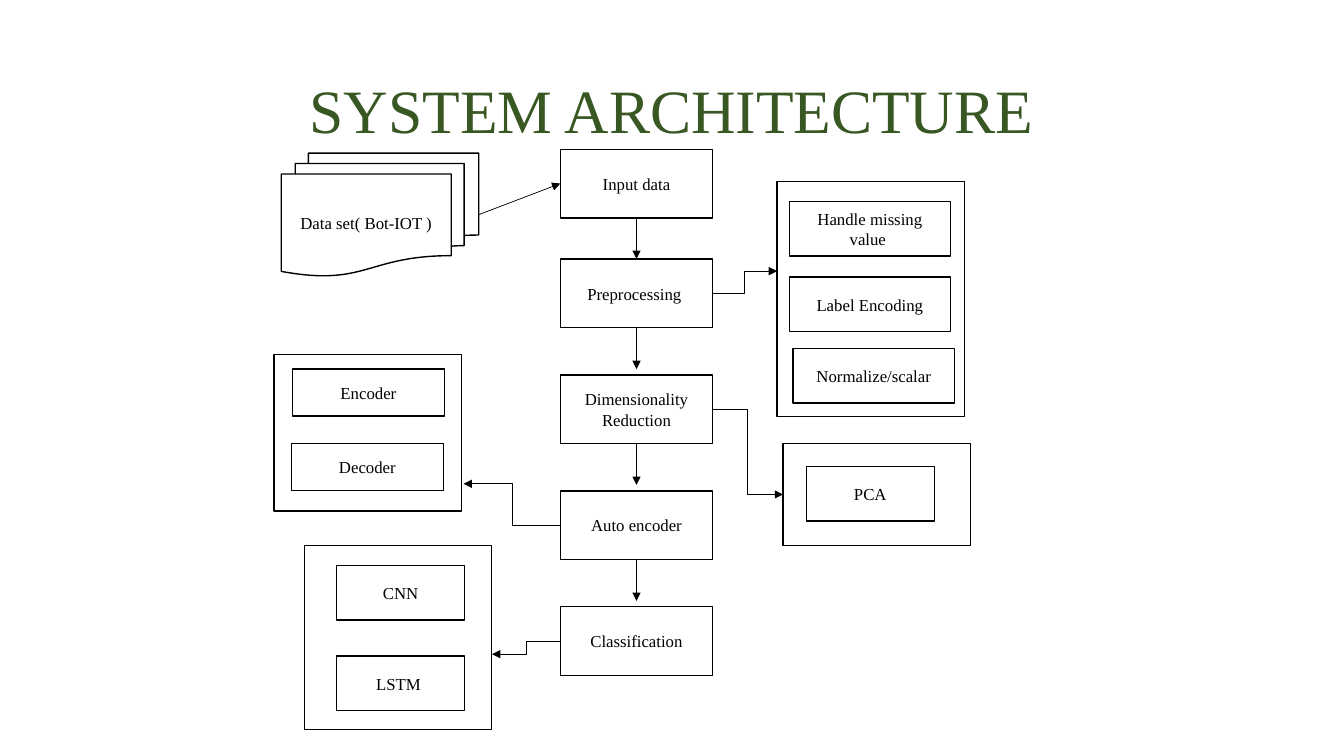
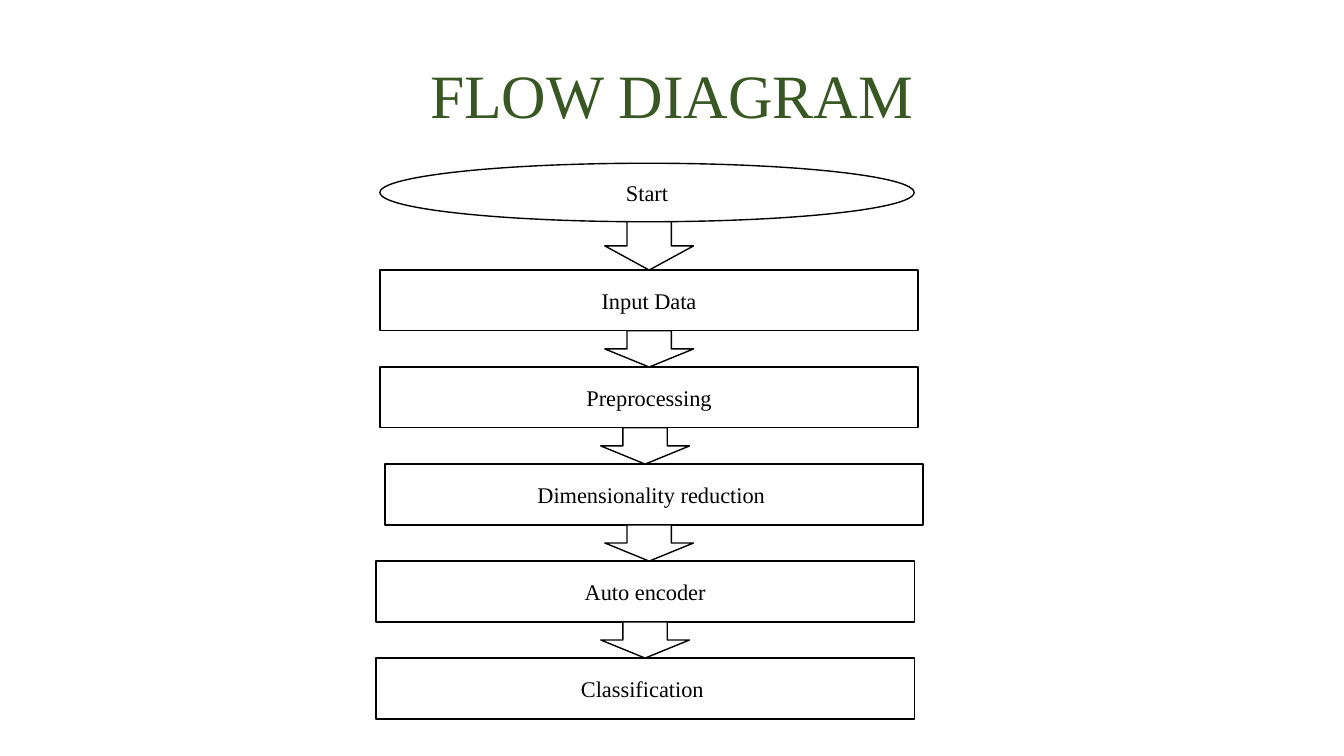
from dataclasses import dataclass

from lxml import etree
from pptx import Presentation
from pptx.dml.color import RGBColor
from pptx.enum import shapes as sh, text as tx
from pptx.oxml import ns
from pptx.util import Pt


@dataclass(frozen=True)
class Theme:
    font: str = "Times New Roman"
    green: str = "385723"
    ink: str = "000000"
    paper: str = "FFFFFF"
    head: int = 44
    node: int = 12
    step: int = 16
    edge: float = 1
    wire: float = 0.5


T = Theme()
KIND = sh.MSO_SHAPE
TOP, LEFT, BOTTOM, RIGHT = range(4)

# Content: system architecture
SOURCE = ("Data set( Bot-IOT )", (200.9, 109.4, 141.1, 87.8))
STAGES = ["Input data", "Preprocessing ", "Dimensionality Reduction",
          "Auto encoder", "Classification"]
# Each panel: stage, frame, item size, items, side of stage, loose arrow end
PANELS = [
    dict(stage=1, frame=(555.1, 129.6, 133.9, 167.8), size=(115.2, 38.9),
         items=[("Handle missing value ", 563.8, 144),
                ("Label Encoding", 563.8, 198),
                ("Normalize/scalar", 566.6, 249.1)],
         side=RIGHT, end=(555.1, 193.7)),
    dict(stage=2, frame=(559.4, 316.8, 133.9, 72.7), size=(91.4, 38.9),
         items=[("PCA", 576, 333.4)], side=RIGHT, end=None),
    dict(stage=3, frame=(195.8, 253.4, 133.9, 111.6), size=(108.7, 33.8),
         items=[("Encoder", 208.8, 263.5), ("Decoder", 208.1, 316.8)],
         side=LEFT, end=(331.2, 345.6)),
    dict(stage=4, frame=(217.4, 389.5, 133.9, 131.8), size=(91.4, 38.9),
         items=[("CNN", 240.5, 403.9), ("LSTM ", 240.5, 468.7)],
         side=LEFT, end=(351.4, 467.3)),
]

# Content: flow diagram, as text, box left, left of the arrow above it
START = ("Start", (271.4, 116.6, 381.6, 41.8))
STEPS = [
    ("Input Data", 271.4, 432),
    ("Preprocessing", 271.4, 432),
    ("Dimensionality reduction ", 275, 429.1),
    ("Auto encoder", 268.6, 432),
    ("Classification ", 268.6, 429.1),
]


def write(frame, text, size=T.node, color=T.ink, space=None):
    """Put one centred line of text in a frame."""
    frame.word_wrap = True
    frame.auto_size = tx.MSO_AUTO_SIZE.NONE
    frame.vertical_anchor = tx.MSO_ANCHOR.MIDDLE
    para = frame.paragraphs[0]
    para.alignment = tx.PP_ALIGN.CENTER
    if space:
        para.line_spacing = space
    run = para.add_run()
    run.text = text
    run.font.name, run.font.size = T.font, Pt(size)
    run.font.color.rgb = RGBColor.from_string(color)


def page(deck, title, top):
    """Add a slide with its title."""
    slide = deck.slides.add_slide(deck.slide_layouts[5])
    head = slide.shapes.title
    head.left, head.top, head.width, head.height = map(Pt, (66, top, 828, 104.4))
    write(head.text_frame, title, size=T.head, color=T.green, space=0.9)
    return slide


def box(slide, rect, text="", kind=KIND.RECTANGLE, size=T.node):
    """Add a white, outlined shape."""
    part = slide.shapes.add_shape(kind, *map(Pt, rect))
    part.shadow.inherit = False
    part.fill.solid()
    part.fill.fore_color.rgb = RGBColor.from_string(T.paper)
    part.line.color.rgb = RGBColor.from_string(T.ink)
    part.line.width = Pt(T.edge)
    if text:
        write(part.text_frame, text, size=size)
    return part


def port(part, side):
    """Find the middle of one side of a shape."""
    across, down = {TOP: (0.5, 0), LEFT: (0, 0.5),
                    BOTTOM: (0.5, 1), RIGHT: (1, 0.5)}[side]
    return (int(part.left + part.width * across),
            int(part.top + part.height * down))


def link(slide, part, side, goal=None, into=None, end=None, bent=False):
    """Draw an arrow from a shape to a goal shape or a loose end."""
    form = sh.MSO_CONNECTOR.ELBOW if bent else sh.MSO_CONNECTOR.STRAIGHT
    stop = port(goal, into) if goal else end
    wire = slide.shapes.add_connector(form, *port(part, side), *stop)
    # A loose elbow stays free so that its route is kept
    if goal or not bent:
        wire.begin_connect(part, side)
    if goal:
        wire.end_connect(goal, into)
    wire.line.color.rgb = RGBColor.from_string(T.ink)
    wire.line.width = Pt(T.wire)
    tip = etree.SubElement(wire.line._get_or_add_ln(), ns.qn("a:tailEnd"))
    tip.set("type", "triangle")
    etree.SubElement(wire._element.spPr, ns.qn("a:effectLst"))


def system(deck):
    slide = page(deck, "SYSTEM ARCHITECTURE", 28.8)

    # Main column: the first stage stands apart, the rest are evenly spaced
    tops = [106.6] + [185 + 82.8 * i for i in range(len(STAGES) - 1)]
    stages = [box(slide, (400.3, top, 108.7, 49), text)
              for text, top in zip(STAGES, tops)]
    text, rect = SOURCE
    data = box(slide, rect, text, kind=KIND.FLOWCHART_MULTIDOCUMENT)
    link(slide, data, RIGHT, goal=stages[0], into=LEFT)
    link(slide, stages[0], BOTTOM, goal=stages[1], into=TOP)
    for part, after in zip(stages[1:], stages[2:]):
        x, y = port(after, TOP)
        link(slide, part, BOTTOM, end=(x, y - Pt(4.2)))

    # Side panels
    for panel in PANELS:
        frame = box(slide, panel["frame"])
        for text, x, y in panel["items"]:
            box(slide, (x, y, *panel["size"]), text)
        part, side, end = stages[panel["stage"]], panel["side"], panel["end"]
        if end:
            link(slide, part, side, end=tuple(map(Pt, end)), bent=True)
        else:
            link(slide, part, side, goal=frame, into=LEFT, bent=True)


def flow(deck):
    slide = page(deck, "FLOW DIAGRAM", 18)
    text, rect = START
    box(slide, rect, text, kind=KIND.OVAL, size=T.step)

    # Each arrow fills the gap above its step
    base = rect[1] + rect[3]
    for i, (text, x, tip) in enumerate(STEPS):
        top = 192.9 + 69.3 * i
        box(slide, (x, top, 384.5, 43.4), text, size=T.step)
        box(slide, (tip, base, 63.4, top - base), kind=KIND.DOWN_ARROW)
        base = top + 43.4


def main():
    deck = Presentation()
    deck.slide_width, deck.slide_height = Pt(960), Pt(540)
    system(deck)
    flow(deck)
    deck.save("out.pptx")


if __name__ == "__main__":
    main()
